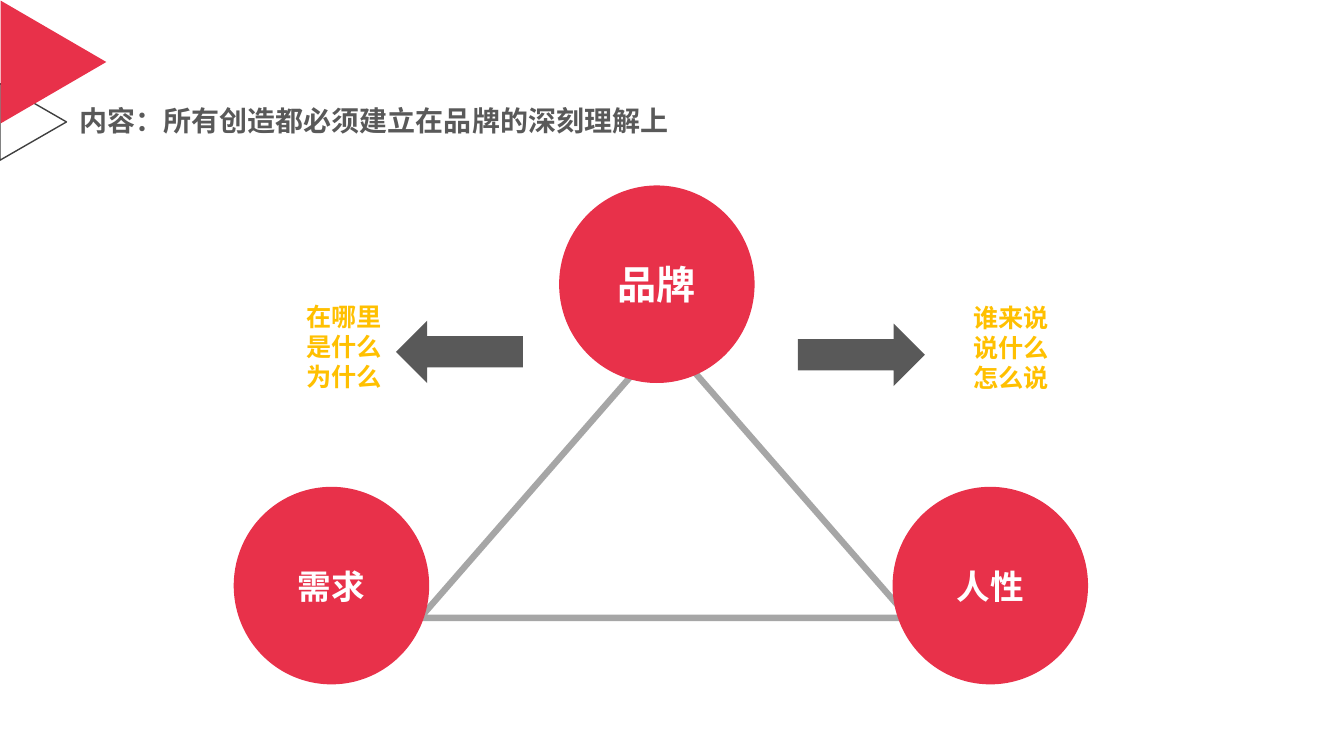
from lxml.etree import SubElement
from pptx import Presentation
from pptx.dml.color import RGBColor as Rgb
from pptx.enum.shapes import MSO_SHAPE as Kind
from pptx.enum.text import MSO_ANCHOR as Anchor, PP_ALIGN as Align
from pptx.oxml.ns import qn
from pptx.util import Inches, Pt

FONT = "Noto Sans CJK SC"
HUES = {"red": "E8314A", "gray": "595959", "pale": "A6A6A6",
        "dark": "404040", "gold": "FFC000", "white": "FFFFFF"}
COLS, ROWS = 133.4, 75


class Board:
    """Draws styled parts on one slide; lengths are columns and rows of a grid."""

    def __init__(self):
        self.deck = Presentation()
        self.deck.slide_width = Inches(13.34)
        self.deck.slide_height = Inches(7.5)
        self.col = self.deck.slide_width / COLS
        self.row = self.deck.slide_height / ROWS
        self.slide = self.deck.slides.add_slide(self.deck.slide_layouts[6])

    def place(self, x, y, w, h):
        return (round(x * self.col), round(y * self.row),
                round(w * self.col), round(h * self.row))

    def hue(self, name):
        return Rgb.from_string(HUES[name])

    def shape(self, kind, box, fill=None, line=None, width=1, turn=0):
        item = self.slide.shapes.add_shape(kind, *self.place(*box))
        item.shadow.inherit = False
        item.rotation = turn
        if fill:
            item.fill.solid()
            item.fill.fore_color.rgb = self.hue(fill)
        else:
            item.fill.background()
        if line:
            item.line.color.rgb = self.hue(line)
            item.line.width = Pt(width)
        else:
            item.line.fill.background()
        return item

    def label(self, frame, lines, size, hue, align=Align.CENTER, space=None):
        frame.word_wrap = True
        frame.vertical_anchor = Anchor.MIDDLE
        for i, line in enumerate(lines):
            para = frame.add_paragraph() if i else frame.paragraphs[0]
            para.alignment = align
            para.line_spacing = space
            run = para.add_run()
            run.text = line
            font = run.font
            font.size, font.bold = Pt(size), True
            font.color.rgb = self.hue(hue)
            font.name = FONT
            SubElement(run._r.get_or_add_rPr(), qn("a:ea"), typeface=FONT)

    def text(self, box, lines, size, hue, **style):
        frame = self.slide.shapes.add_textbox(*self.place(*box)).text_frame
        self.label(frame, lines, size, hue, **style)
        return frame

    def disc(self, x, y, word, size):
        item = self.shape(Kind.OVAL, (x, y, 19.4, 19.6), "red")
        self.label(item.text_frame, [word], size, "white")

    def title(self, box, words):
        frame = self.text(box, [words], 20, "gray", align=Align.LEFT, space=0.9)
        frame.margin_left = frame.margin_right = Inches(0.05)
        frame.margin_top = frame.margin_bottom = Inches(0.05)

    def save(self):
        self.deck.save("out.pptx")


def main():
    board = Board()
    peak = Kind.ISOSCELES_TRIANGLE
    board.shape(peak, (-0.5, 8.8, 7.6, 6.6), line="dark", turn=90)
    board.shape(peak, (-0.8, 0.9, 12.2, 10.5), "red", turn=90)
    board.title((7.4, 10.1, 60.8, 4.1), "内容：所有创造都必须建立在品牌的深刻理解上")

    board.shape(peak, (41.7, 33.5, 48.5, 27.8), line="pale", width=4.5)
    for x, y, word, size in ((55.5, 18.4, "品牌", 28),
                             (23.2, 48.3, "需求", 24),
                             (88.6, 48.3, "人性", 24)):
        board.disc(x, y, word, size)

    sides = (
        (26.5, 29.3, ["在哪里", "是什么", "为什么"], 39.3, 31.8, 180),
        (92.7, 29.4, ["谁来说", "说什么", "怎么说"], 79.2, 32.1, 0),
    )
    for x, y, lines, left, top, turn in sides:
        board.text((x, y, 15.3, 10.1), lines, 18, "gold")
        board.shape(Kind.RIGHT_ARROW, (left, top, 12.6, 6.2), "gray", turn=turn)
    board.save()


if __name__ == "__main__":
    main()
